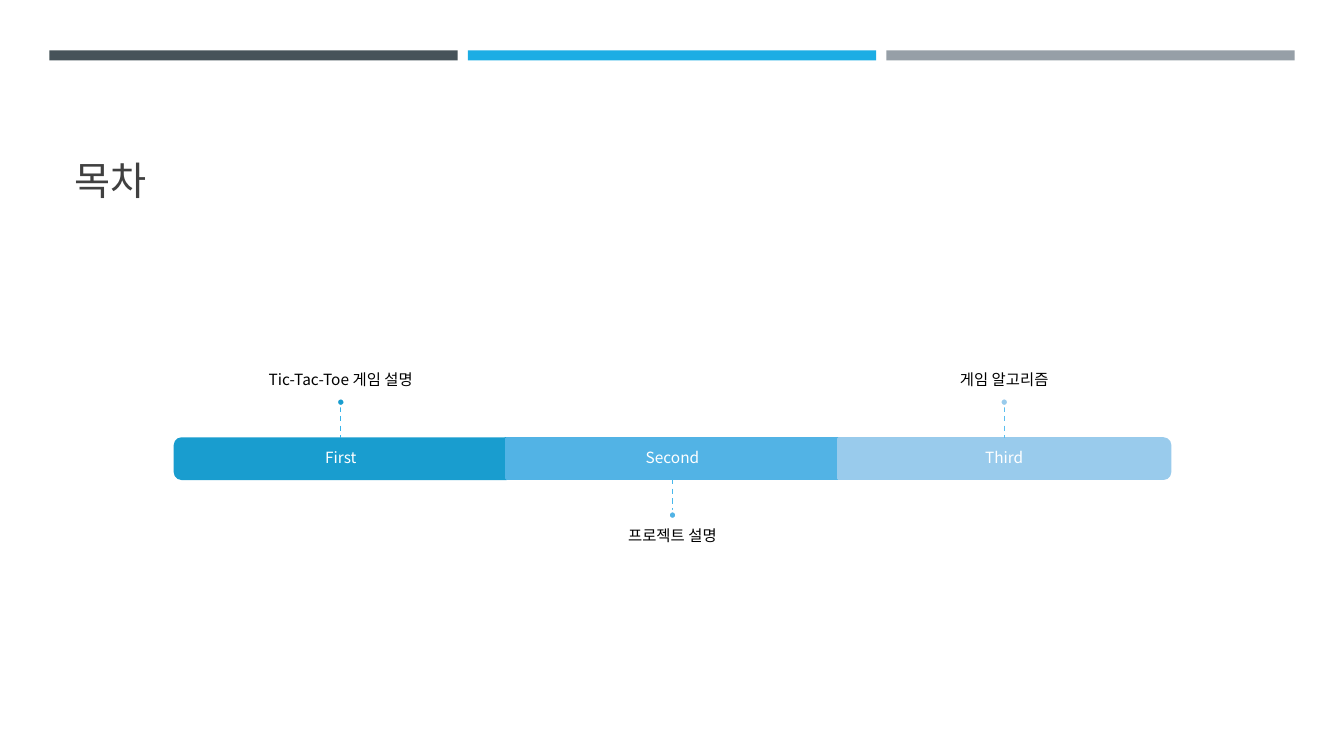
from lxml.etree import SubElement
from pptx import Presentation
from pptx.dml.color import RGBColor
from pptx.enum.dml import MSO_LINE
from pptx.enum.shapes import MSO_CONNECTOR, MSO_SHAPE
from pptx.enum.text import MSO_ANCHOR, MSO_AUTO_SIZE, PP_ALIGN
from pptx.oxml.ns import qn
from pptx.util import Inches, Pt

FONT = "Noto Sans CJK KR"
BAR_TOP, BAR_HEIGHT = 4.35, 0.4
STEP_WIDTH, FIRST_CENTER = 3.29, 3.38
STEM, DOT = 0.32, 0.08
LABEL_WIDTH, LABEL_HEIGHT = 5.48, 1.39

# Step name, topic, bar colour, stem colour, bar shape, rotation, topic above the bar
STEPS = [
    ("First", "Tic-Tac-Toe 게임 설명", "199DCF", "36B3E9",
     MSO_SHAPE.ROUND_2_SAME_RECTANGLE, 270, True),
    ("Second", "프로젝트 설명", "52B3E5", "48B8EC", MSO_SHAPE.RECTANGLE, 0, False),
    ("Third", "게임 알고리즘", "99CBEC", "5ABEEF",
     MSO_SHAPE.ROUND_2_SAME_RECTANGLE, 90, True),
]


def color(value):
    return RGBColor.from_string(value)


def write(frame, text, size=11, fill="000000", align=PP_ALIGN.CENTER,
          anchor=MSO_ANCHOR.MIDDLE, spacing=0.9, insets=None):
    frame.word_wrap = True
    frame.auto_size = MSO_AUTO_SIZE.NONE
    frame.vertical_anchor = anchor
    if insets:
        (frame.margin_left, frame.margin_top,
         frame.margin_right, frame.margin_bottom) = map(Inches, insets)
    para = frame.paragraphs[0]
    para.alignment = align
    para.line_spacing = spacing
    span = para.add_run()
    span.text = text
    span.font.size = Pt(size)
    span.font.name = FONT
    span.font.color.rgb = color(fill)
    # Hangul takes its typeface from the East Asian font
    SubElement(span.font._element, qn("a:ea"), typeface=FONT)


def add_text(page, left, top, width, height, text, **style):
    box = page.shapes.add_textbox(*map(Inches, (left, top, width, height)))
    write(box.text_frame, text, **style)


def add_block(page, kind, left, top, width, height, fill, line=None, rotation=0):
    block = page.shapes.add_shape(kind, *map(Inches, (left, top, width, height)))
    block.shadow.inherit = False
    block.rotation = rotation
    block.fill.solid()
    block.fill.fore_color.rgb = color(fill)
    if line:
        block.line.color.rgb = color(line)
        block.line.width = Pt(1.75)
    else:
        block.line.fill.background()


def add_stem(page, center, start, end, line):
    stem = page.shapes.add_connector(
        MSO_CONNECTOR.STRAIGHT, *map(Inches, (center, start, center, end)))
    stem.line.color.rgb = color(line)
    stem.line.width = Pt(1)
    stem.line.dash_style = MSO_LINE.DASH
    SubElement(stem._element.spPr, qn("a:effectLst"))


def add_step(page, center, name, topic, fill, stem, kind, rotation, above):
    # Bar segment: the rounded ends are upright shapes turned on their side
    middle = BAR_TOP + BAR_HEIGHT / 2
    width, height = (BAR_HEIGHT, STEP_WIDTH) if rotation else (STEP_WIDTH, BAR_HEIGHT)
    add_block(page, kind, center - width / 2, middle - height / 2,
              width, height, fill, line=fill, rotation=rotation)
    add_text(page, center - STEP_WIDTH / 2, BAR_TOP, STEP_WIDTH, BAR_HEIGHT,
             name, fill="FFFFFF", insets=(0.09, 0.09, 0.09, 0.09))

    # Topic, stem and dot
    if above:
        start, end = BAR_TOP - STEM, BAR_TOP
        dot_top = start - DOT
        label_top = dot_top - LABEL_HEIGHT
        anchor, insets = MSO_ANCHOR.BOTTOM, (0, 0, 0, 0.09)
    else:
        start = BAR_TOP + BAR_HEIGHT
        end = dot_top = start + STEM
        label_top = dot_top + DOT
        anchor, insets = MSO_ANCHOR.TOP, (0, 0.09, 0, 0)
    add_text(page, center - LABEL_WIDTH / 2, label_top, LABEL_WIDTH, LABEL_HEIGHT,
             topic, anchor=anchor, insets=insets)
    add_stem(page, center, start, end, stem)
    add_block(page, MSO_SHAPE.OVAL, center - DOT / 2, dot_top, DOT, DOT,
              fill, line="FFFFFF")


def add_title(page, text):
    title = page.shapes.title
    title.left, title.top = Inches(0.64), Inches(0.77)
    title.width, title.height = Inches(12.06), Inches(1.3)
    write(title.text_frame, text, size=28, fill="404040",
          align=PP_ALIGN.LEFT, anchor=MSO_ANCHOR.BOTTOM)


def main():
    deck = Presentation()
    deck.slide_width, deck.slide_height = Inches(13.33), Inches(7.5)
    page = deck.slides.add_slide(deck.slide_layouts[5])

    # Top stripes
    for index, fill in enumerate(("465359", "1CADE4", "969FA7")):
        add_block(page, MSO_SHAPE.RECTANGLE, 0.49 + index * 4.15, 0.5, 4.05, 0.1, fill)

    add_title(page, "목차")

    # Timeline
    for index, step in enumerate(STEPS):
        add_step(page, FIRST_CENTER + index * STEP_WIDTH, *step)

    deck.save("out.pptx")


if __name__ == "__main__":
    main()
